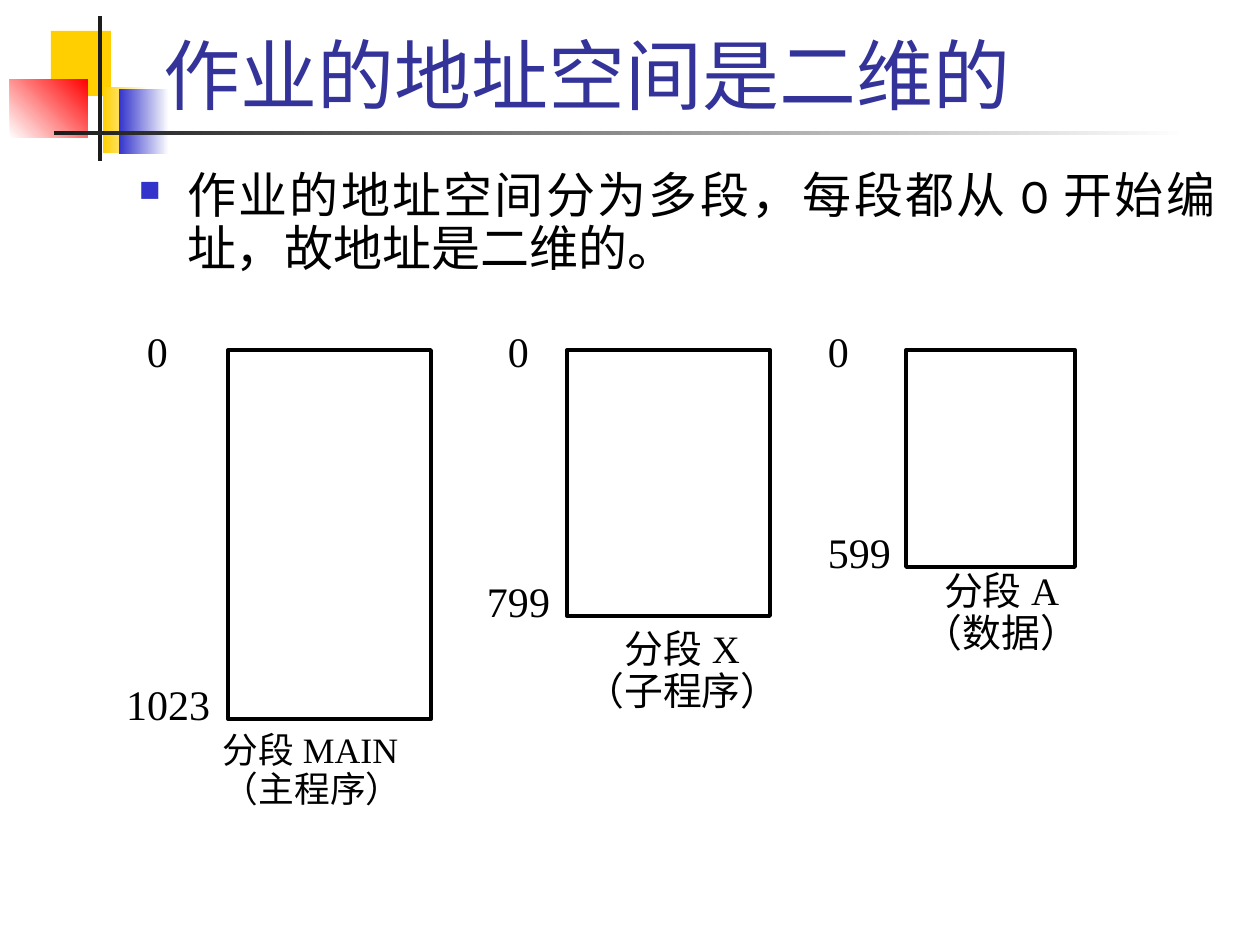
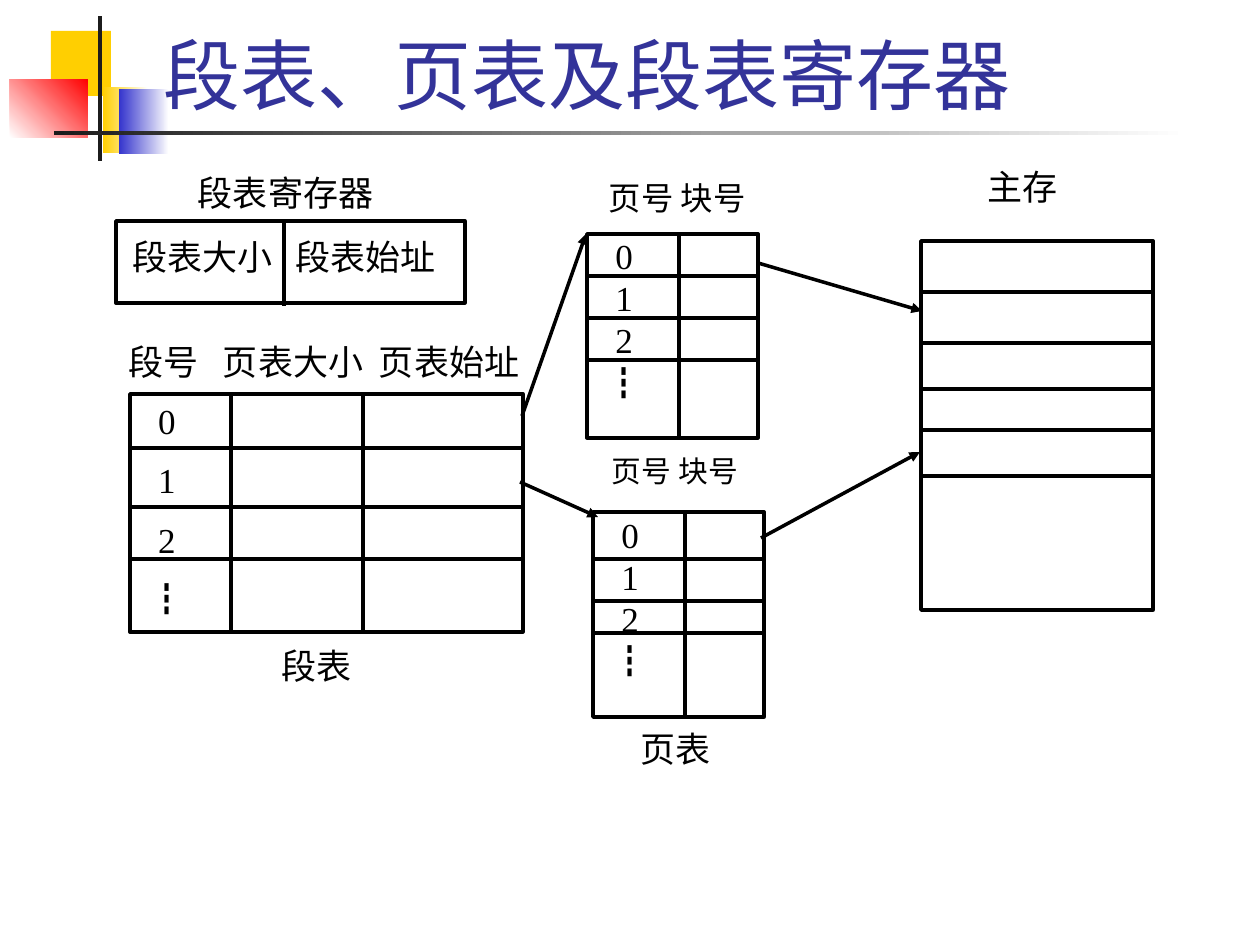
import lxml.etree
import pptx
import pptx.dml.color
import pptx.enum.shapes
import pptx.enum.text
import pptx.oxml
import pptx.oxml.ns
import pptx.util

PX = 914400 / 126
COLORS = {
    "ink": "000000",
    "paper": "FFFFFF",
    "title": "333399",
    "blue": "3333CC",
    "yellow": "FFCF01",
    "red": "FF0000",
    "rule": "1C1C1C",
}
TITLE_FONT = "Karla"
TEXT_FONT = "Times New Roman"
SYMBOL_FONT = "Noto Sans CJK SC"
ALIGN = pptx.enum.text.PP_ALIGN
ANCHOR = pptx.enum.text.MSO_ANCHOR


def px(length):
    return pptx.util.Emu(round(length * PX))


def color(name):
    return pptx.dml.color.RGBColor.from_string(COLORS[name])


def add_element(parent, tag, **attributes):
    return lxml.etree.SubElement(parent, pptx.oxml.ns.qn(tag), attributes)


def style_font(paragraph, size, name=TEXT_FONT, color_name="ink"):
    paragraph.font.size = pptx.util.Pt(size)
    paragraph.font.name = name
    paragraph.font.color.rgb = color(color_name)


def set_frame(frame, left=0, top=0, right=0, bottom=0, anchor=ANCHOR.TOP):
    frame.margin_left, frame.margin_top = px(left), px(top)
    frame.margin_right, frame.margin_bottom = px(right), px(bottom)
    frame.vertical_anchor = anchor
    frame.auto_size = pptx.enum.text.MSO_AUTO_SIZE.NONE
    frame.word_wrap = True


def add_tabs(paragraph, stops):
    tab_list = add_element(paragraph._p.get_or_add_pPr(), "a:tabLst")
    for stop in stops:
        add_element(tab_list, "a:tab", pos=str(px(stop)), algn="l")


def add_rectangle(slide, left, top, width, height, fill="paper", line_width=0):
    shape = slide.shapes.add_shape(
        pptx.enum.shapes.MSO_SHAPE.RECTANGLE, px(left), px(top), px(width), px(height)
    )
    shape.shadow.inherit = False
    shape.fill.solid()
    shape.fill.fore_color.rgb = color(fill)
    if line_width:
        shape.line.color.rgb = color("ink")
        shape.line.width = pptx.util.Pt(line_width)
    else:
        shape.line.fill.background()
    return shape


def add_gradient(slide, box, start, end, angle=0):
    shape = add_rectangle(slide, *box)
    shape.fill.gradient()
    shape.fill.gradient_angle = angle
    for stop, name in zip(shape.fill.gradient_stops, (start, end)):
        stop.color.rgb = color(name)
    return shape


def add_line(slide, start_x, start_y, end_x, end_y, arrow=False):
    line = slide.shapes.add_connector(
        pptx.enum.shapes.MSO_CONNECTOR.STRAIGHT,
        px(start_x), px(start_y), px(end_x), px(end_y),
    )
    line.line.color.rgb = color("ink")
    line.line.width = pptx.util.Pt(2)
    if arrow:
        add_element(line.line._get_or_add_ln(), "a:tailEnd", type="triangle")
    add_element(line._element.spPr, "a:effectLst")


def add_text(slide, left, top, width, height, lines, size=20,
             align=ALIGN.LEFT, spacing=None, tabs=()):
    box = slide.shapes.add_textbox(px(left), px(top), px(width), px(height))
    frame = box.text_frame
    set_frame(frame)
    frame.text = lines
    for paragraph in frame.paragraphs:
        paragraph.alignment = align
        if spacing:
            paragraph.line_spacing = spacing
        if tabs:
            add_tabs(paragraph, tabs)
        style_font(paragraph, size)


def add_bullet(slide, left, top, width, height, text):
    box = slide.shapes.add_textbox(px(left), px(top), px(width), px(height))
    set_frame(box.text_frame, 13, 6, 13, 6)
    paragraph = box.text_frame.paragraphs[0]
    paragraph.text = text
    paragraph.alignment = ALIGN.JUSTIFY
    paragraph.line_spacing = 0.9
    properties = paragraph._p.get_or_add_pPr()
    properties.set("marL", str(px(48)))
    properties.set("indent", str(-px(48)))
    bullet_color = add_element(properties, "a:buClr")
    add_element(bullet_color, "a:srgbClr", val=COLORS["blue"])
    add_element(properties, "a:buSzPct", val="60000")
    add_element(properties, "a:buChar", char="■")
    style_font(paragraph, 28, TITLE_FONT)


def add_grid(slide, left, top, width, height, rows, columns):
    for y in rows:
        add_line(slide, left, y, left + width, y)
    for x in columns:
        add_line(slide, x, top, x, top + height)


def add_numbered_table(slide, left, top, width, height, rows, columns, inset=1, gap=0):
    number_center = 37
    shape = add_rectangle(slide, left, top, width, height, line_width=2)
    frame = shape.text_frame
    set_frame(frame, top=inset, right=width - 2 * number_center)
    frame.text = "0\n1\n2\n┇"
    for index, paragraph in enumerate(frame.paragraphs):
        paragraph.alignment = ALIGN.CENTER
        paragraph.line_spacing = pptx.util.Pt(24)
        if index and gap:
            paragraph.space_before = pptx.util.Pt(gap)
        style_font(paragraph, 20, SYMBOL_FONT if paragraph.text == "┇" else TEXT_FONT)
    add_grid(slide, left, top, width, height, rows, columns)


def decorate_layout(layout, slide):
    decorations = [
        add_rectangle(slide, 51, 31, 60, 65, "yellow"),
        add_gradient(slide, (103, 87, 45, 66), "yellow", "paper"),
        add_gradient(slide, (119, 89, 50, 65), "blue", "paper"),
        add_gradient(slide, (10, 79, 78, 59), "paper", "red", 45),
        add_rectangle(slide, 98, 16, 4, 145, "rule"),
        add_gradient(slide, (54, 131, 1134, 4), "rule", "paper"),
    ]
    for number, shape in enumerate(decorations, 20):
        shape.element.nvSpPr.cNvPr.id = number
        layout.shapes.element.append(shape.element)


def add_titled_slide(presentation, layout, text):
    slide = presentation.slides.add_slide(layout)
    title = slide.shapes.title
    title.left, title.top, title.width, title.height = map(px, (151, 21, 1074, 105))
    set_frame(title.text_frame, 13, 6, 13, 6, ANCHOR.BOTTOM)
    title.text_frame.text = text
    paragraph = title.text_frame.paragraphs[0]
    paragraph.alignment = ALIGN.LEFT
    style_font(paragraph, 44, TITLE_FONT, "title")
    return slide


def add_segment(slide, left, width, height, start_x, last_x, last_address):
    top = 350
    add_rectangle(slide, left, top, width, height, line_width=2.25)
    add_text(slide, start_x, top - 24, 40, 50, "0", 24)
    add_text(slide, last_x, top + height - 40, 95, 50, last_address, 24)


def build_address_space(slide):
    add_bullet(slide, 126, 165, 1102, 121,
               "作业的地址空间分为多段，每段都从0开始编址，故地址是二维的。")
    add_segment(slide, 228, 203, 369, 147, 126, "1023")
    add_segment(slide, 567, 203, 266, 508, 487, "799")
    add_segment(slide, 906, 169, 217, 828, 828, "599")
    add_text(slide, 223, 733, 218, 88, "分段MAIN\n（主程序）", 20.4, spacing=0.9)
    add_text(slide, 567, 630, 231, 96, "分段X\n（子程序）", 22.2, ALIGN.CENTER, 0.9)
    add_text(slide, 911, 572, 181, 97, "分段A\n（数据）", 22.2, ALIGN.CENTER, 0.9)


def build_tables(slide):
    add_text(slide, 198, 171, 212, 42, "段表寄存器")
    add_text(slide, 129, 340, 400, 43, "段号\t页表大小\t页表始址", tabs=(94, 250))

    register = add_rectangle(slide, 116, 221, 349, 82, line_width=2)
    set_frame(register.text_frame, left=16, top=15)
    register.text_frame.text = "段表大小\t段表始址"
    paragraph = register.text_frame.paragraphs[0]
    paragraph.alignment = ALIGN.LEFT
    add_tabs(paragraph, (163,))
    style_font(paragraph, 20)
    add_line(slide, 284, 223, 284, 306)

    add_text(slide, 987, 165, 83, 43, "主存")
    add_rectangle(slide, 921, 241, 232, 369, line_width=2)
    add_grid(slide, 921, 241, 232, 369, (292, 343, 389, 430, 476), ())

    add_numbered_table(slide, 130, 394, 393, 238, (448, 507, 559), (231, 363), 5, 10)
    add_text(slide, 281, 644, 97, 44, "段表")
    add_text(slide, 609, 183, 164, 40, "页号 块号", 18.5, spacing=0.9)
    add_numbered_table(slide, 587, 234, 171, 204, (276, 318, 360), (679,))
    add_text(slide, 612, 457, 154, 37, "页号 块号", 17, spacing=0.9)
    add_numbered_table(slide, 593, 512, 171, 205, (559, 601, 633), (685,))
    add_text(slide, 640, 727, 97, 44, "页表")

    for arrow in ((522, 416, 586, 234), (758, 263, 922, 311),
                  (520, 482, 598, 517), (761, 538, 920, 452)):
        add_line(slide, *arrow, arrow=True)


def main():
    presentation = pptx.Presentation()
    presentation.slide_width, presentation.slide_height = px(1260), px(945)
    layout = presentation.slide_layouts[5]
    address_slide = add_titled_slide(presentation, layout, "作业的地址空间是二维的")
    decorate_layout(layout, address_slide)
    build_address_space(address_slide)
    build_tables(add_titled_slide(presentation, layout, "段表、页表及段表寄存器"))
    presentation.save("out.pptx")


if __name__ == "__main__":
    main()
